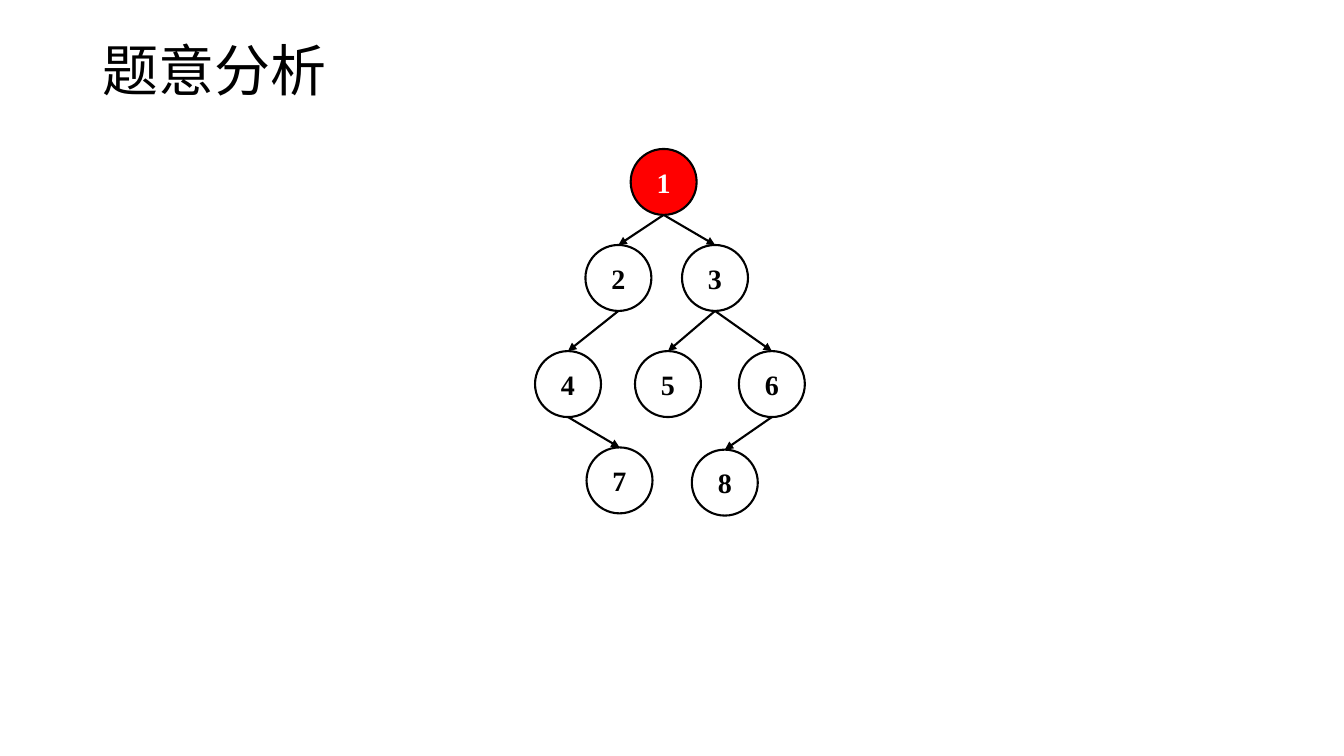
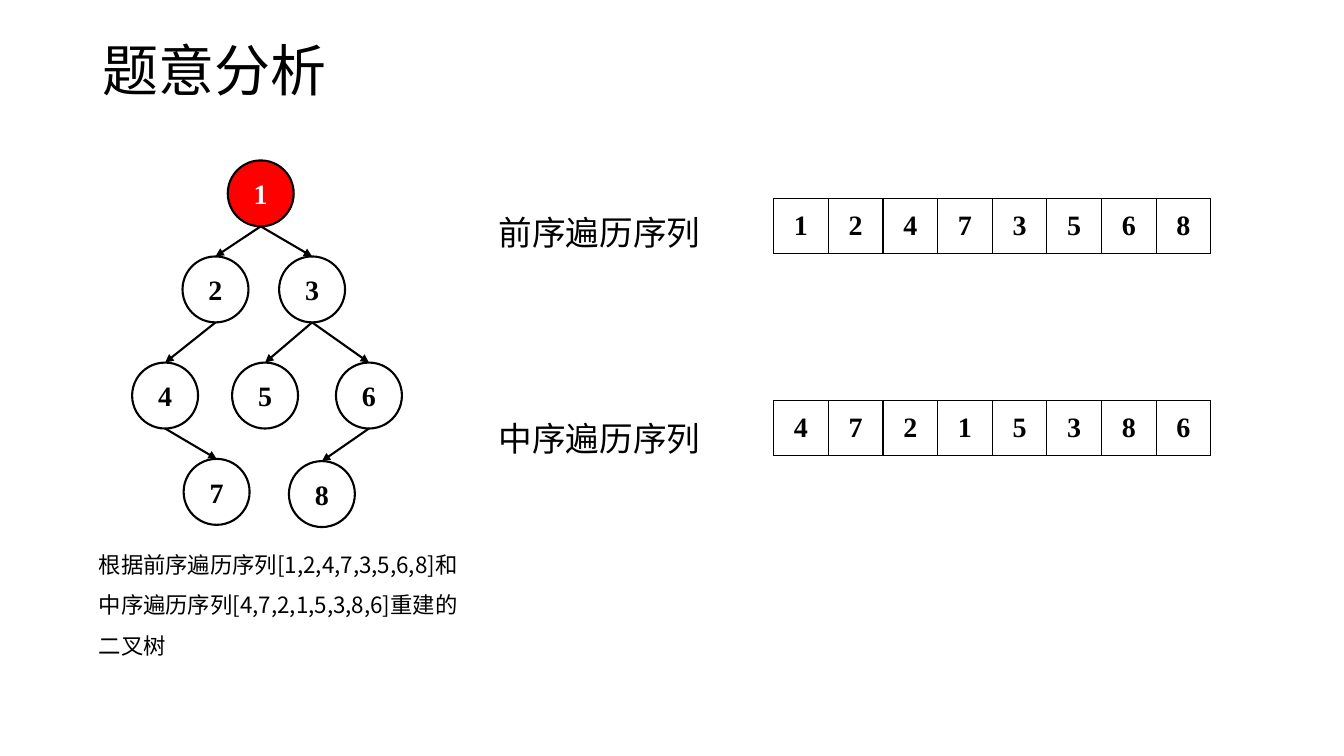
from lxml import etree
from pptx import Presentation
from pptx import util as u
from pptx.dml.color import RGBColor
from pptx.enum import shapes, text
from pptx.oxml import ns

BLACK = RGBColor(0x00, 0x00, 0x00)
WHITE = RGBColor(0xFF, 0xFF, 0xFF)
RED = RGBColor(0xFF, 0x00, 0x00)
HAN_FONT = "Noto Sans CJK SC"
DIGIT_FONT = "Times New Roman"

# Binary tree: left and top of each node within the tree, in points
NODE_SIZE = 47.1
NODES = {
    1: (68.3, 0), 2: (36, 68.6), 3: (105, 68.6), 4: (0, 144.4),
    5: (71.4, 144.4), 6: (145.6, 144.4), 7: (36.8, 213.2), 8: (112, 214.8),
}
EDGES = [(1, 2), (1, 3), (2, 4), (3, 5), (3, 6), (4, 7), (6, 8)]
PREORDER = [1, 2, 4, 7, 3, 5, 6, 8]
INORDER = [4, 7, 2, 1, 5, 3, 8, 6]
CELL_WIDTH, CELL_HEIGHT = 39.05, 39.4


def sub(parent, tag, **attributes):
    return etree.SubElement(parent, ns.qn(tag), **attributes)


def add_span(para, words, size, font, color=BLACK, bold=False):
    span = para.add_run()
    span.text = words
    span.font.size = u.Pt(size)
    span.font.name = font
    span.font.bold = bold
    span.font.color.rgb = color
    sub(span.font._element, "a:ea", typeface=font)


def add_digit(frame, number, color=BLACK):
    para = frame.paragraphs[0]
    para.alignment = text.PP_ALIGN.CENTER
    add_span(para, str(number), 20, DIGIT_FONT, color, bold=True)


def fill_frame(frame, words, size, spacing):
    frame.word_wrap = True
    frame.auto_size = text.MSO_AUTO_SIZE.NONE
    frame.vertical_anchor = text.MSO_ANCHOR.MIDDLE
    para = frame.paragraphs[0]
    para.alignment = text.PP_ALIGN.LEFT
    para.line_spacing = spacing
    add_span(para, words, size, HAN_FONT)


def add_page(deck, title):
    page = deck.slides.add_slide(deck.slide_layouts.get_by_name("Title Only"))
    box = page.shapes.title
    box.left, box.top, box.width, box.height = map(u.Pt, (66, 0, 828, 104.4))
    fill_frame(box.text_frame, title, 40, 0.9)
    return page


def add_words(page, left, top, width, height, words, size):
    box = page.shapes.add_textbox(*map(u.Pt, (left, top, width, height)))
    fill_frame(box.text_frame, words, size, 1.5)


def add_node(tree, left, top, number, is_root):
    node = tree.shapes.add_shape(
        shapes.MSO_SHAPE.OVAL, *map(u.Pt, (left, top, NODE_SIZE, NODE_SIZE)))
    node.shadow.inherit = False
    node.fill.solid()
    node.fill.fore_color.rgb = RED if is_root else WHITE
    node.line.color.rgb = BLACK
    node.line.width = u.Pt(1.5)
    frame = node.text_frame
    frame.margin_left = frame.margin_right = 0
    frame.vertical_anchor = text.MSO_ANCHOR.MIDDLE
    add_digit(frame, number, WHITE if is_root else BLACK)
    return node


def add_arrow(tree, parent, child):
    arrow = tree.shapes.add_connector(
        shapes.MSO_CONNECTOR.STRAIGHT,
        parent.left + parent.width // 2, parent.top + parent.height,
        child.left + child.width // 2, child.top)
    arrow.line.color.rgb = BLACK
    arrow.line.width = u.Pt(1.5)
    sub(arrow.line._get_or_add_ln(), "a:tailEnd", type="triangle")
    sub(arrow._element.spPr, "a:effectLst")


def add_tree(page, left, top):
    tree = page.shapes.add_group_shape()
    nodes = {number: add_node(tree, left + x, top + y, number, number == 1)
             for number, (x, y) in NODES.items()}
    for parent, child in EDGES:
        add_arrow(tree, nodes[parent], nodes[child])


def border_cell(cell):
    properties = cell._tc.get_or_add_tcPr()
    for index, side in enumerate("LRTB"):
        line = etree.Element(ns.qn(f"a:ln{side}"), w=str(u.Pt(1)))
        sub(sub(line, "a:solidFill"), "a:srgbClr", val=str(BLACK))
        properties.insert(index, line)


def add_sequence(page, left, top, numbers):
    table = page.shapes.add_table(
        1, len(numbers),
        *map(u.Pt, (left, top, CELL_WIDTH * len(numbers), CELL_HEIGHT))).table
    table.first_row = table.horz_banding = False
    for column, cell, number in zip(table.columns, table.iter_cells(), numbers):
        column.width = u.Pt(CELL_WIDTH)
        cell.fill.solid()
        cell.fill.fore_color.rgb = WHITE
        cell.margin_left = cell.margin_right = u.Pt(8)
        cell.margin_top = cell.margin_bottom = u.Pt(4)
        cell.vertical_anchor = text.MSO_ANCHOR.MIDDLE
        add_digit(cell.text_frame, number)
        border_cell(cell)


def build_tree_page(deck):
    page = add_page(deck, "题意分析")
    add_tree(page, 382.2, 106.4)


def build_traversal_page(deck):
    page = add_page(deck, "题意分析")
    # Labels and their sequences
    add_words(page, 349.2, 135.4, 172.8, 46, "前序遍历序列", 24)
    add_sequence(page, 552.6, 141.8, PREORDER)
    add_words(page, 349.2, 283, 172.8, 46, "中序遍历序列", 24)
    add_sequence(page, 552.6, 286, INORDER)
    # Tree with its caption
    add_tree(page, 94.4, 114.6)
    before, after = (",".join(map(str, row)) for row in (PREORDER, INORDER))
    add_words(page, 63.4, 381.6, 272.9, 91.4,
              f"根据前序遍历序列[{before}]和中序遍历序列[{after}]重建的二叉树", 16)


deck = Presentation()
deck.slide_width, deck.slide_height = u.Pt(960), u.Pt(540)
build_tree_page(deck)
build_traversal_page(deck)
deck.save("out.pptx")
